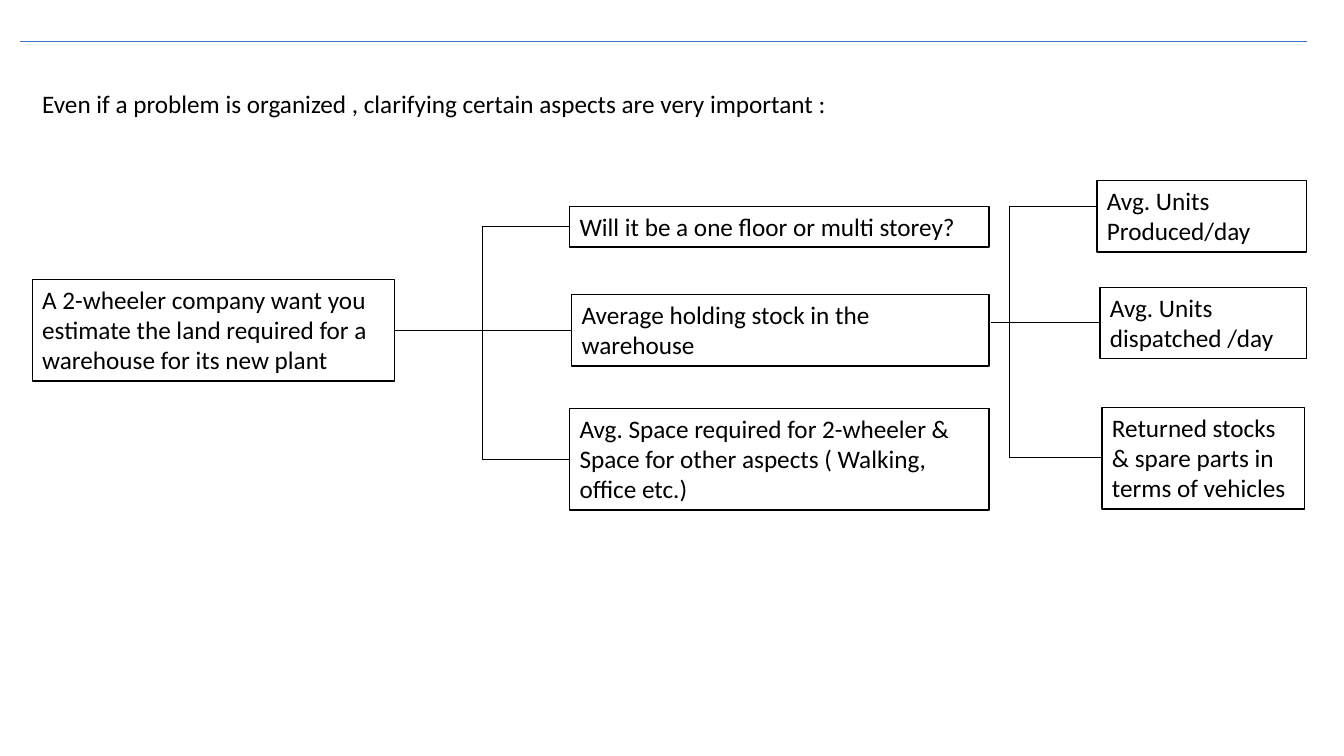
"""Build a slide with an issue tree for a warehouse land estimate."""
from lxml import etree
from pptx import Presentation
from pptx import util as u
from pptx.dml.color import RGBColor
from pptx.enum import shapes, text
from pptx.oxml.ns import qn

COLORS = {"ink": "000000", "paper": "FFFFFF", "rule": "4472C4"}
ROOT = ("A 2-wheeler company want you estimate the land required for a "
        "warehouse for its new plant", 0.32, 2.77, 3.59, 1.01)
ASPECTS = [
    ("Will it be a one floor or multi storey?", 5.65, 2.05, 4.16, 0.4),
    ("Average holding stock in the warehouse", 5.67, 2.92, 4.14, 0.71),
    ("Avg. Space required for 2-wheeler & Space for other aspects "
     "( Walking, office etc.)", 5.65, 4.05, 4.16, 1.01),
]
STOCK_FACTORS = [
    ("Avg. Units Produced/day", 10.88, 1.79, 2.08, 0.71),
    ("Avg. Units dispatched /day", 10.91, 2.85, 2.05, 0.71),
    ("Returned stocks & spare parts in terms of vehicles",
     10.93, 4.04, 2.01, 1.01),
]


def color(name):
    """Return the named colour."""
    return RGBColor.from_string(COLORS[name])


def write(sp, words):
    """Put left-aligned body text into a shape."""
    tf = sp.text_frame
    tf.word_wrap = True
    tf.auto_size = text.MSO_AUTO_SIZE.SHAPE_TO_FIT_TEXT
    tf.vertical_anchor = text.MSO_ANCHOR.TOP
    p = tf.paragraphs[0]
    p.text = words
    p.alignment = text.PP_ALIGN.LEFT
    p.font.name = "Calibri"
    p.font.size = u.Pt(18)
    p.font.color.rgb = color("ink")


def add_statement(s, words, *box):
    """Add a plain text box."""
    write(s.shapes.add_textbox(*map(u.Inches, box)), words)


def add_box(s, words, *box):
    """Add an outlined box of the tree."""
    sp = s.shapes.add_shape(shapes.MSO_SHAPE.RECTANGLE, *map(u.Inches, box))
    sp.shadow.inherit = False
    sp.fill.solid()
    sp.fill.fore_color.rgb = color("paper")
    sp.line.color.rgb = color("ink")
    sp.line.width = u.Pt(1)
    write(sp, words)


def add_line(s, x1, y1, x2, y2, name="ink", width=1):
    """Add a straight line without a shadow."""
    line = s.shapes.add_connector(
        shapes.MSO_CONNECTOR.STRAIGHT, *map(u.Inches, (x1, y1, x2, y2)))
    line.line.color.rgb = color(name)
    line.line.width = u.Pt(width)
    etree.SubElement(line._element.spPr, qn("a:effectLst"))


def add_branches(s, start, trunk_x, stem_y, children, levels):
    """Join a parent edge to its child boxes through a vertical trunk."""
    add_line(s, start, stem_y, trunk_x, stem_y)
    add_line(s, trunk_x, levels[0], trunk_x, levels[-1], width=0.5)
    for (_, left, *_), y in zip(children, levels):
        add_line(s, trunk_x, y, left, y)


def main():
    """Build and save the slide."""
    prs = Presentation()
    prs.slide_width, prs.slide_height = u.Inches(13.33), u.Inches(7.5)
    s = prs.slides.add_slide(prs.slide_layouts[6])
    add_line(s, 0.2, 0.41, 12.96, 0.41, "rule")
    add_statement(s, "Even if a problem is organized , clarifying certain "
                  "aspects are very important :", 0.32, 0.83, 11.74, 0.4)
    for box in [ROOT, *ASPECTS, *STOCK_FACTORS]:
        add_box(s, *box)
    add_branches(s, 3.91, 4.78, 3.28, ASPECTS, [2.25, 3.28, 4.56])
    add_branches(s, 9.83, 10.01, 3.2, STOCK_FACTORS, [2.05, 3.2, 4.54])
    prs.save("out.pptx")


if __name__ == "__main__":
    main()
